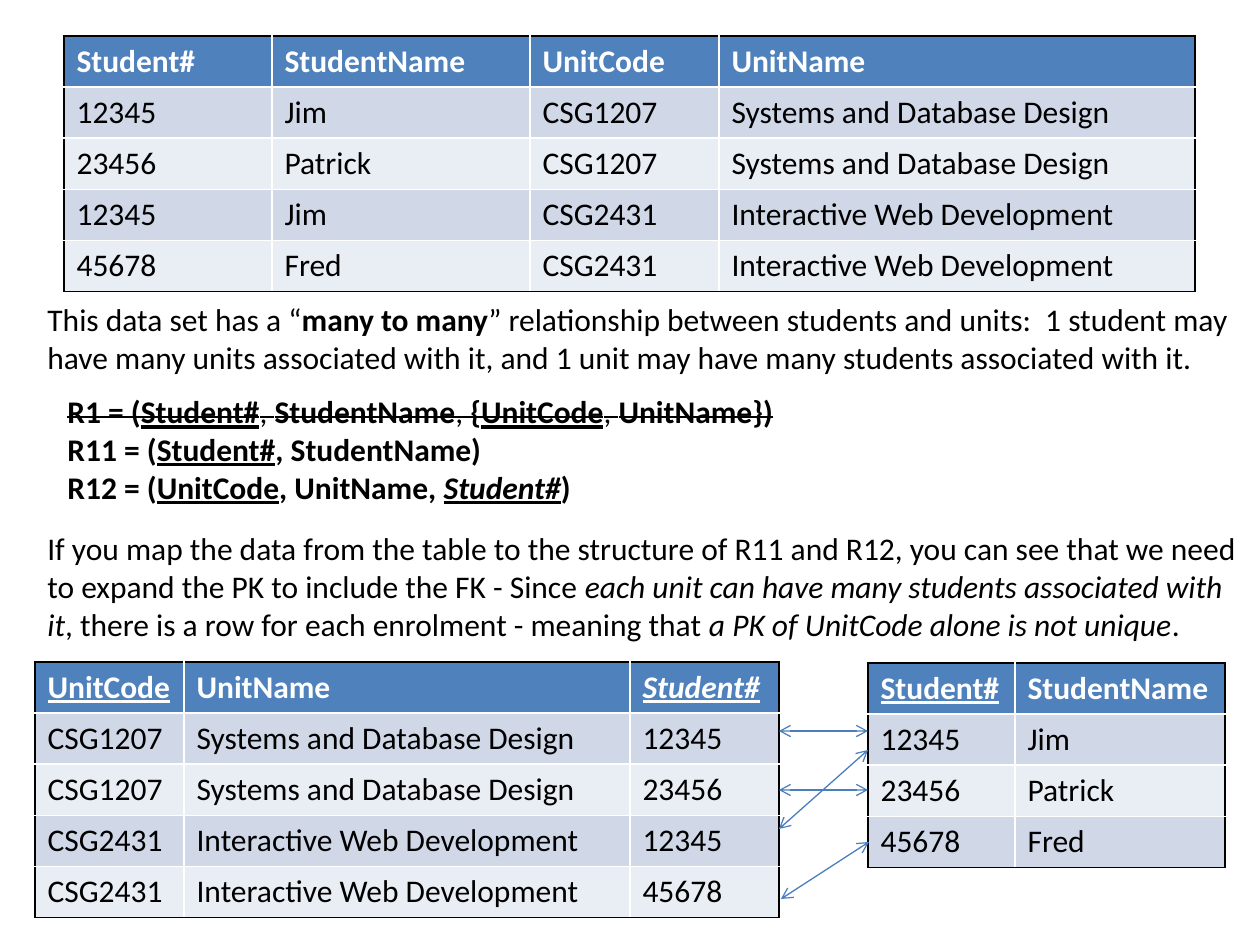
from lxml import etree
from pptx import Presentation
from pptx.dml.color import RGBColor
from pptx.enum.shapes import MSO_CONNECTOR
from pptx.enum.text import MSO_AUTO_SIZE
from pptx.oxml.ns import qn
from pptx.util import Emu, Pt

STRAIGHT = MSO_CONNECTOR.STRAIGHT
FIT_SHAPE = MSO_AUTO_SIZE.SHAPE_TO_FIT_TEXT

EMU_PER_PX = 914400 / 126
ROW_HEIGHT = 51
BLANK_LAYOUT = 6
COLORS = {
    "text": "000000",
    "header_text": "FFFFFF",
    "header": "4F81BD",
    "odd_row": "D0D8E8",
    "even_row": "E9EDF4",
    "edge": "000000",
    "arrow": "4B7EBC",
}
BASE_FONT = {"name": "Calibri", "size": Pt(18)}
STYLE_FLAGS = {"b": "bold", "i": "italic", "u": "underline"}

DATABASE_UNIT = "Systems and Database Design"
WEB_UNIT = "Interactive Web Development"

ENROLMENTS = [
    ["Student#", "StudentName", "UnitCode", "UnitName"],
    ["12345", "Jim", "CSG1207", DATABASE_UNIT],
    ["23456", "Patrick", "CSG1207", DATABASE_UNIT],
    ["12345", "Jim", "CSG2431", WEB_UNIT],
    ["45678", "Fred", "CSG2431", WEB_UNIT],
]
UNITS = [
    ["UnitCode", "UnitName", "Student#"],
    ["CSG1207", DATABASE_UNIT, "12345"],
    ["CSG1207", DATABASE_UNIT, "23456"],
    ["CSG2431", WEB_UNIT, "12345"],
    ["CSG2431", WEB_UNIT, "45678"],
]
STUDENTS = [
    ["Student#", "StudentName"],
    ["12345", "Jim"],
    ["23456", "Patrick"],
    ["45678", "Fred"],
]

RELATIONSHIP = [[
    ("This data set has a “", ""),
    ("many to many", "b"),
    ("” relationship between students and units:  1 student may have many "
     "units associated with it, and 1 unit may have many students "
     "associated with it.", ""),
]]
RELATIONS = [
    [("R1 = (", "bs"), ("Student#", "bus"), (", ", "s"),
     ("StudentName", "bs"), (", ", "s"), ("{", "bs"),
     ("UnitCode", "bus"), (", ", "s"), ("UnitName})", "bs")],
    [("R11 = (", "b"), ("Student#", "bu"), (", StudentName)", "b")],
    [("R12 = (", "b"), ("UnitCode", "bu"), (", UnitName, ", "b"),
     ("Student#", "biu"), (")", "b")],
]
KEY_EXPLANATION = [[
    ("If you map the data from the table to the structure of R11 and R12, "
     "you can see that we need to expand the PK to include the FK - Since ", ""),
    ("each unit can have many students associated with it", "i"),
    (", there is a row for each enrolment - meaning that ", ""),
    ("a PK of UnitCode alone is not unique", "i"),
    (".", ""),
]]
KEY_LINKS = [
    (868, 731, 779, 731),
    (868, 750, 779, 829),
    (868, 790, 779, 790),
    (869, 842, 781, 899),
]


def px(length):
    return Emu(round(length * EMU_PER_PX))


def rgb(name):
    return RGBColor.from_string(COLORS[name])


def add_run(paragraph, text, style, color):
    run = paragraph.add_run()
    run.text = text
    flags = {attr: flag in style for flag, attr in STYLE_FLAGS.items()}
    for attr, value in {**BASE_FONT, **flags}.items():
        setattr(run.font, attr, value)
    run.font.color.rgb = rgb(color)
    if "s" in style:
        run.font._element.set("strike", "sngStrike")


def add_text(slide, left, top, width, height, paragraphs):
    frame = slide.shapes.add_textbox(*map(px, (left, top, width, height))).text_frame
    frame.word_wrap = True
    frame.auto_size = FIT_SHAPE
    for index, runs in enumerate(paragraphs):
        paragraph = frame.add_paragraph() if index else frame.paragraphs[0]
        for text, style in runs:
            add_run(paragraph, text, style, "text")


def add_edges(cell, sides):
    properties = cell._tc.get_or_add_tcPr()
    for position, side in enumerate(sides):
        line = etree.Element(qn(f"a:ln{side}"), w=str(Pt(1)))
        fill = etree.SubElement(line, qn("a:solidFill"))
        etree.SubElement(fill, qn("a:srgbClr"), val=COLORS["edge"])
        properties.insert(position, line)


def add_data_table(slide, left, top, widths, rows, header_styles):
    last_row, last_column = len(rows) - 1, len(widths) - 1
    table = slide.shapes.add_table(
        len(rows), len(widths), px(left), px(top),
        px(sum(widths)), px(ROW_HEIGHT * len(rows))).table
    for column, width in zip(table.columns, widths):
        column.width = px(width)
    for r, values in enumerate(rows):
        table.rows[r].height = px(ROW_HEIGHT)
        band = "header" if r == 0 else "odd_row" if r % 2 else "even_row"
        for c, value in enumerate(values):
            cell = table.cell(r, c)
            cell.fill.solid()
            cell.fill.fore_color.rgb = rgb(band)
            outer = {"L": c == 0, "R": c == last_column,
                     "T": r == 0, "B": r == last_row}
            add_edges(cell, [side for side, shown in outer.items() if shown])
            style, color = ("", "text") if r else (header_styles[c], "header_text")
            add_run(cell.text_frame.paragraphs[0], value, style, color)


def add_key_link(slide, *ends):
    link = slide.shapes.add_connector(STRAIGHT, *map(px, ends))
    link.line.color.rgb = rgb("arrow")
    link.line.width = Pt(0.75)
    outline = link.line._get_or_add_ln()
    for end in ("headEnd", "tailEnd"):
        etree.SubElement(outline, qn(f"a:{end}"), type="arrow")
    etree.SubElement(link._element.spPr, qn("a:effectLst"))


def main():
    deck = Presentation()
    deck.slide_width, deck.slide_height = px(1260), px(945)
    slide = deck.slides.add_slide(deck.slide_layouts[BLANK_LAYOUT])
    add_data_table(slide, 64, 36, [208, 258, 189, 476], ENROLMENTS, ["b"] * 4)
    add_data_table(slide, 35, 662, [149, 446, 149], UNITS, ["bu", "b", "biu"])
    add_data_table(slide, 868, 663, [147, 210], STUDENTS, ["bu", "b"])
    add_text(slide, 35, 294, 1221, 89, RELATIONSHIP)
    for ends in KEY_LINKS:
        add_key_link(slide, *ends)
    add_text(slide, 55, 386, 1221, 127, RELATIONS)
    add_text(slide, 35, 523, 1221, 127, KEY_EXPLANATION)
    deck.save("out.pptx")


if __name__ == "__main__":
    main()
